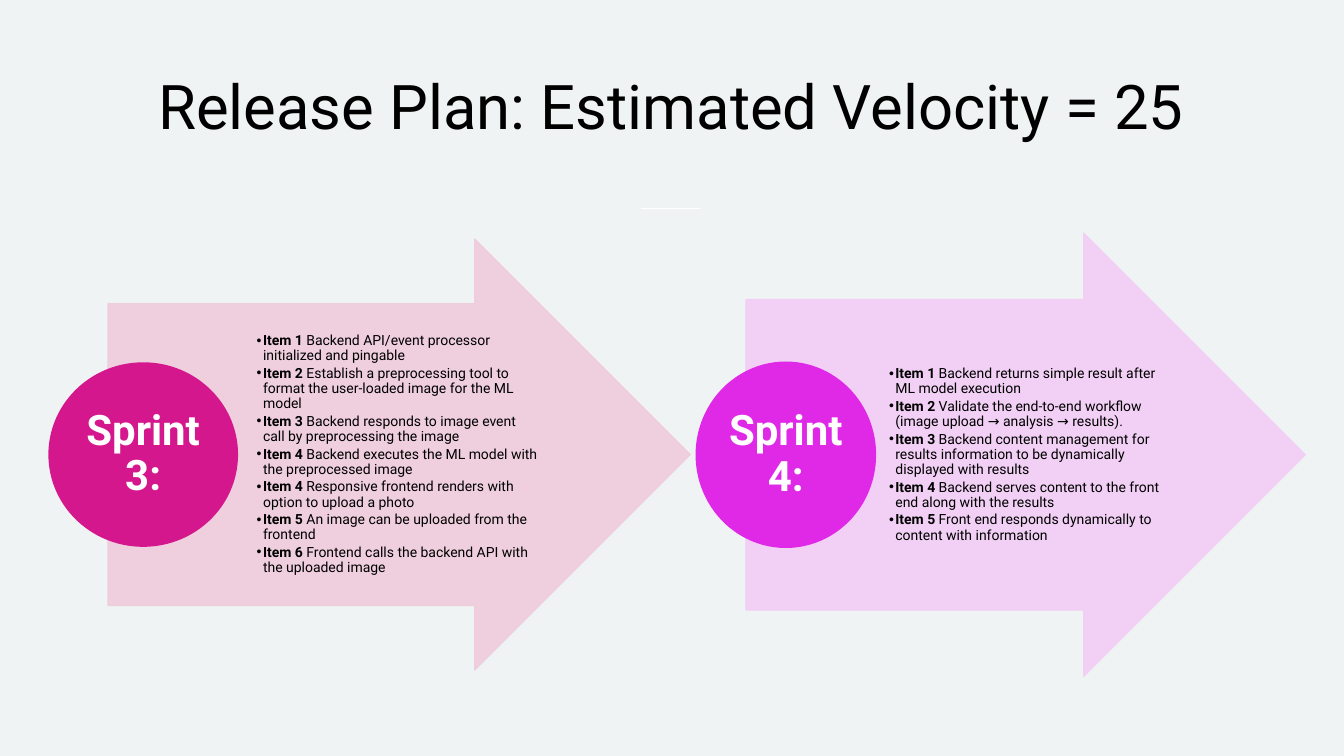
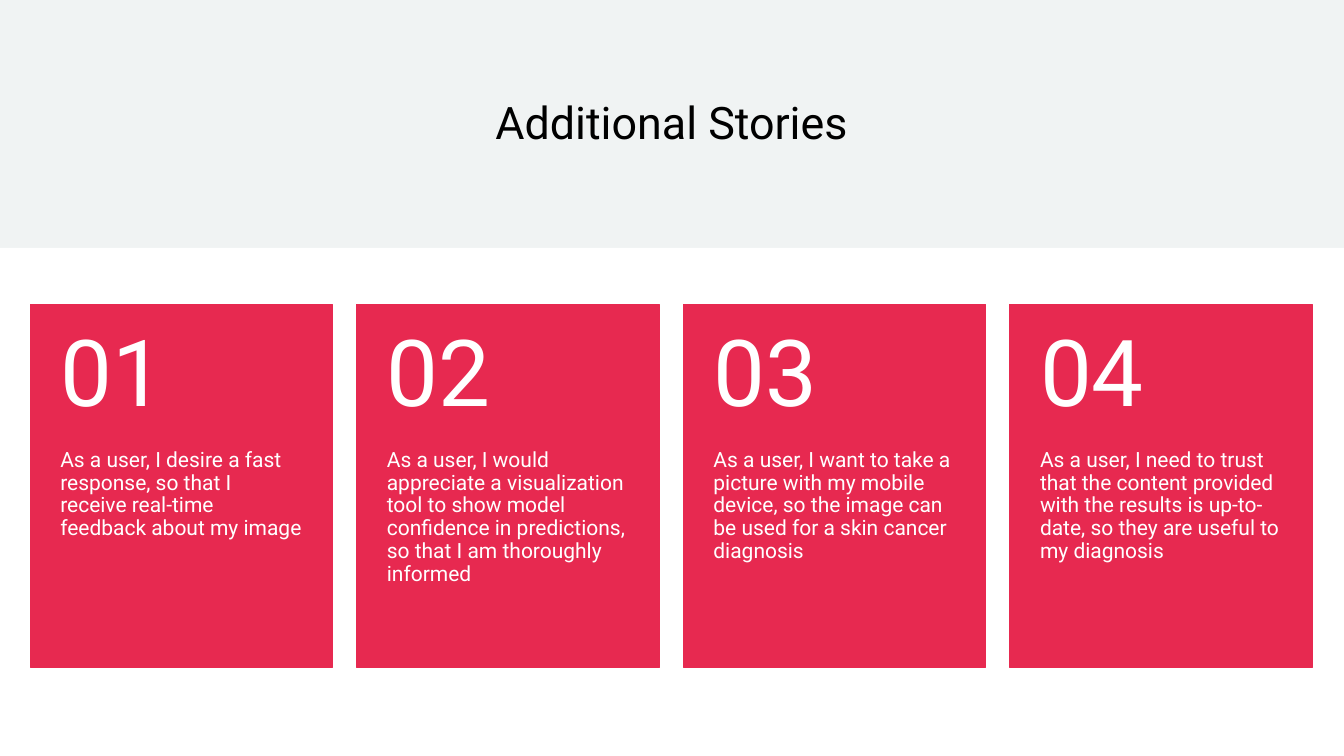
from lxml import etree
from pptx import Presentation
from pptx import util as u
from pptx.dml import color
from pptx.enum import shapes, text
from pptx.oxml import ns

FONT = "Roboto"
PAGE, WHITE, BLACK, CARD = "F0F3F3", "FFFFFF", "000000", "E72950"
SLIDE_W, SLIDE_H = 33.87, 19.05
MIDDLE, TOP = text.MSO_ANCHOR.MIDDLE, text.MSO_ANCHOR.TOP
CENTER, LEFT = text.PP_ALIGN.CENTER, text.PP_ALIGN.LEFT

SPRINTS = [
    {
        "name": "Sprint 3:", "box": (2.72, 6.02, 14.68, 10.87),
        "disc": (4.78, 4.65), "overhang": 1.5,
        "tint": "EFCCDB", "strong": "D5178E",
        "items": [
            ("Item 1", "Backend API/event processor initialized and pingable"),
            ("Item 2", "Establish a preprocessing tool to format the user-loaded image for the ML model"),
            ("Item 3", "Backend responds to image event call by preprocessing the image"),
            ("Item 4", "Backend executes the ML model with the preprocessed image"),
            ("Item 4", "Responsive frontend renders with option to upload a photo"),
            ("Item 5", "An image can be uploaded from the frontend"),
            ("Item 6", "Frontend calls the backend API with the uploaded image"),
        ],
    },
    {
        "name": "Sprint 4:", "box": (18.8, 5.87, 14.1, 11.18),
        "disc": (4.55, 4.7), "overhang": 1.27,
        "tint": "F3CDF6", "strong": "DF29E7",
        "items": [
            ("Item 1", "Backend returns simple result after ML model execution"),
            ("Item 2", "Validate the end-to-end workflow (image upload → analysis → results)."),
            ("Item 3", "Backend content management for results information to be dynamically displayed with results"),
            ("Item 4", "Backend serves content to the front end along with the results"),
            ("Item 5", "Front end responds dynamically to content with information"),
        ],
    },
]

STORIES = [
    "As a user, I desire a fast response, so that I receive real-time feedback about my image",
    "As a user, I would appreciate a visualization tool to show model confidence in predictions, so that I am thoroughly informed",
    "As a user, I want to take a picture with my mobile device, so the image can be used for a skin cancer diagnosis",
    "As a user, I need to trust that the content provided with the results is up-to-date, so they are useful to my diagnosis",
]


def rgb(value):
    return color.RGBColor.from_string(value)


def assign(obj, **values):
    for name, value in values.items():
        setattr(obj, name, value)


def place(sp, box):
    names = ("left", "top", "width", "height")
    assign(sp, **{n: u.Cm(v) for n, v in zip(names, box)})


def frame(sp, insets, anchor):
    tf = sp.text_frame
    names = ("margin_left", "margin_top", "margin_right", "margin_bottom")
    assign(tf, word_wrap=True, auto_size=text.MSO_AUTO_SIZE.NONE,
           vertical_anchor=anchor, **{n: u.Cm(v) for n, v in zip(names, insets)})
    return tf


def add_run(p, words, size, ink, bold=False):
    r = p.add_run()
    r.text = words
    assign(r.font, name=FONT, size=u.Pt(size), bold=bold)
    r.font.color.rgb = rgb(ink)


def write(sp, words, size, ink, insets, anchor=MIDDLE, align=CENTER, bold=False, spacing=0.9):
    p = frame(sp, insets, anchor).paragraphs[0]
    assign(p, alignment=align, line_spacing=spacing)
    add_run(p, words, size, ink, bold)


def add_block(s, kind, box, fill, outline=None, alpha=None):
    sp = s.shapes.add_shape(kind, *map(u.Cm, box))
    sp.shadow.inherit = False
    sp.fill.solid()
    sp.fill.fore_color.rgb = rgb(fill)
    if outline:
        sp.line.color.rgb = rgb(outline)
        sp.line.width = u.Pt(0.75)
    else:
        sp.line.fill.background()
    if alpha:
        for clr in sp.element.spPr.iter(ns.qn("a:srgbClr")):
            etree.SubElement(clr, ns.qn("a:alpha"), val=str(alpha * 1000))
    return sp


def add_title(s, words, box, size):
    place(s.shapes.title, box)
    write(s.shapes.title, words, size, BLACK, (0.25, 0.13, 0.25, 0.13), spacing=1.0)


def add_rule(s, x1, x2, y):
    ln = s.shapes.add_connector(shapes.MSO_CONNECTOR.STRAIGHT, *map(u.Cm, (x1, y, x2, y)))
    ln.line.color.rgb = rgb(WHITE)
    ln.line.width = u.Pt(1)
    etree.SubElement(ln.element.spPr, ns.qn("a:effectLst"))


def fill_list(sp, items):
    tf = frame(sp, (0.08, 0.03, 0.03, 0.03), MIDDLE)
    for i, (label, words) in enumerate(items):
        p = tf.add_paragraph() if i else tf.paragraphs[0]
        pPr = p._p.get_or_add_pPr()
        pPr.set("marL", str(u.Cm(0.16)))
        pPr.set("indent", str(u.Cm(-0.16)))
        etree.SubElement(pPr, ns.qn("a:buChar"), char="•")
        assign(p, alignment=LEFT, line_spacing=0.9, space_before=u.Pt(0), space_after=u.Pt(1.75))
        add_run(p, label + " ", 10, BLACK, True)
        add_run(p, words, 10, BLACK)


def add_sprint(s, body, sprint):
    x, y, w, h = sprint["box"]
    arrow = add_block(s, shapes.MSO_SHAPE.RIGHT_ARROW, sprint["box"],
                      sprint["tint"], sprint["tint"], 90)
    arrow.adjustments[0] = 0.7
    arrow.adjustments[1] = 0.5
    place(body, (x + 0.25 * w, y + 0.15 * h, 0.491 * w, 0.7 * h))
    fill_list(body, sprint["items"])
    s.shapes.element.append(body.element)
    dw, dh = sprint["disc"]
    disc = add_block(s, shapes.MSO_SHAPE.OVAL,
                     (x - sprint["overhang"], y + (h - dh) / 2, dw, dh), sprint["strong"])
    write(disc, sprint["name"], 30, WHITE, (0.05,) * 4, bold=True)


def add_card(s, box, number, story):
    x, y, w, h = box
    head = 0.4 * h
    add_block(s, shapes.MSO_SHAPE.RECTANGLE, box, CARD, CARD)
    sp = s.shapes.add_textbox(*map(u.Cm, (x, y + head, w, h - head)))
    write(sp, story, 15, WHITE, (0.76, 0, 0.76, 0.91), TOP, LEFT)
    sp = s.shapes.add_textbox(*map(u.Cm, (x, y, w, head)))
    write(sp, f"{number:02d}", 66, WHITE, (0.76, 0.46, 0.76, 0.46), MIDDLE, LEFT)


def release_slide(prs):
    s = prs.slides.add_slide(prs.slide_layouts[3])
    add_title(s, "Release Plan: Estimated Velocity = 25", (2.74, 0.71, 28.37, 3.86), 44)
    add_rule(s, 16.15, 17.65, 5.26)
    bodies = [s.placeholders[1], s.placeholders[2]]
    for body, sprint in zip(bodies, SPRINTS):
        add_sprint(s, body, sprint)


def stories_slide(prs):
    s = prs.slides.add_slide(prs.slide_layouts[5])
    add_title(s, "Additional Stories", (3, 1.5, 27.86, 3.12), 32)
    band_top = 6.25
    add_block(s, shapes.MSO_SHAPE.RECTANGLE, (0, band_top, SLIDE_W, SLIDE_H - band_top), WHITE)
    left, top, width, height, gap = 0.76, 7.67, 7.62, 9.14, 0.61
    for i, story in enumerate(STORIES):
        add_card(s, (left + i * (width + gap), top, width, height), i + 1, story)


def main():
    prs = Presentation()
    assign(prs, slide_width=u.Cm(SLIDE_W), slide_height=u.Cm(SLIDE_H))
    fill = prs.slide_master.background.fill
    fill.solid()
    fill.fore_color.rgb = rgb(PAGE)
    release_slide(prs)
    stories_slide(prs)
    prs.save("out.pptx")


if __name__ == "__main__":
    main()
